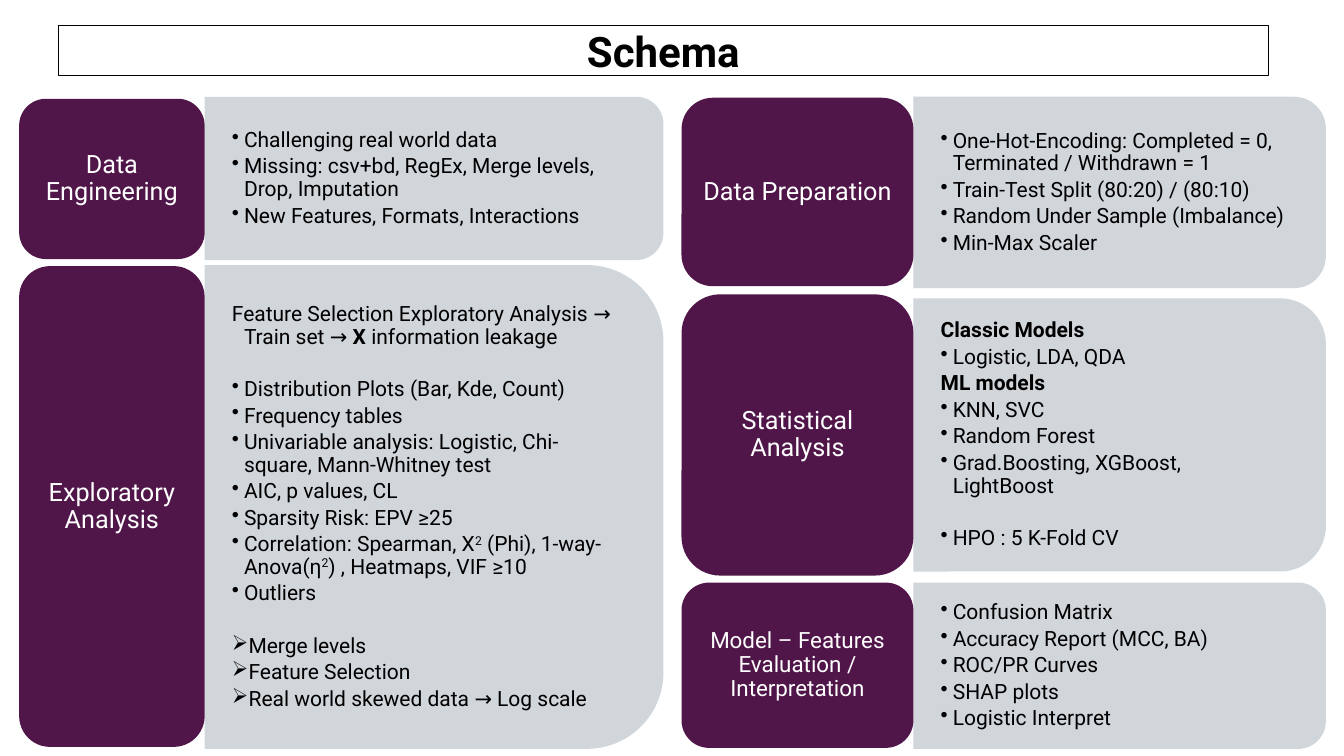
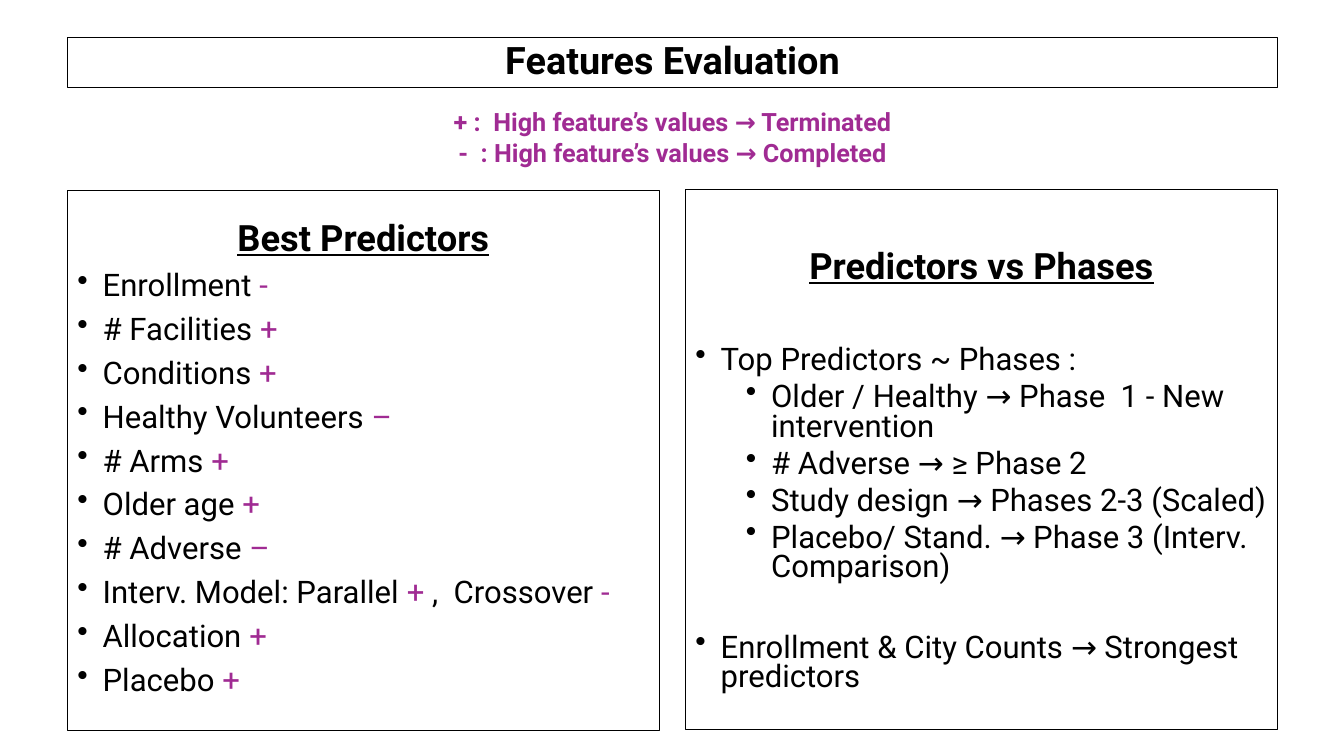
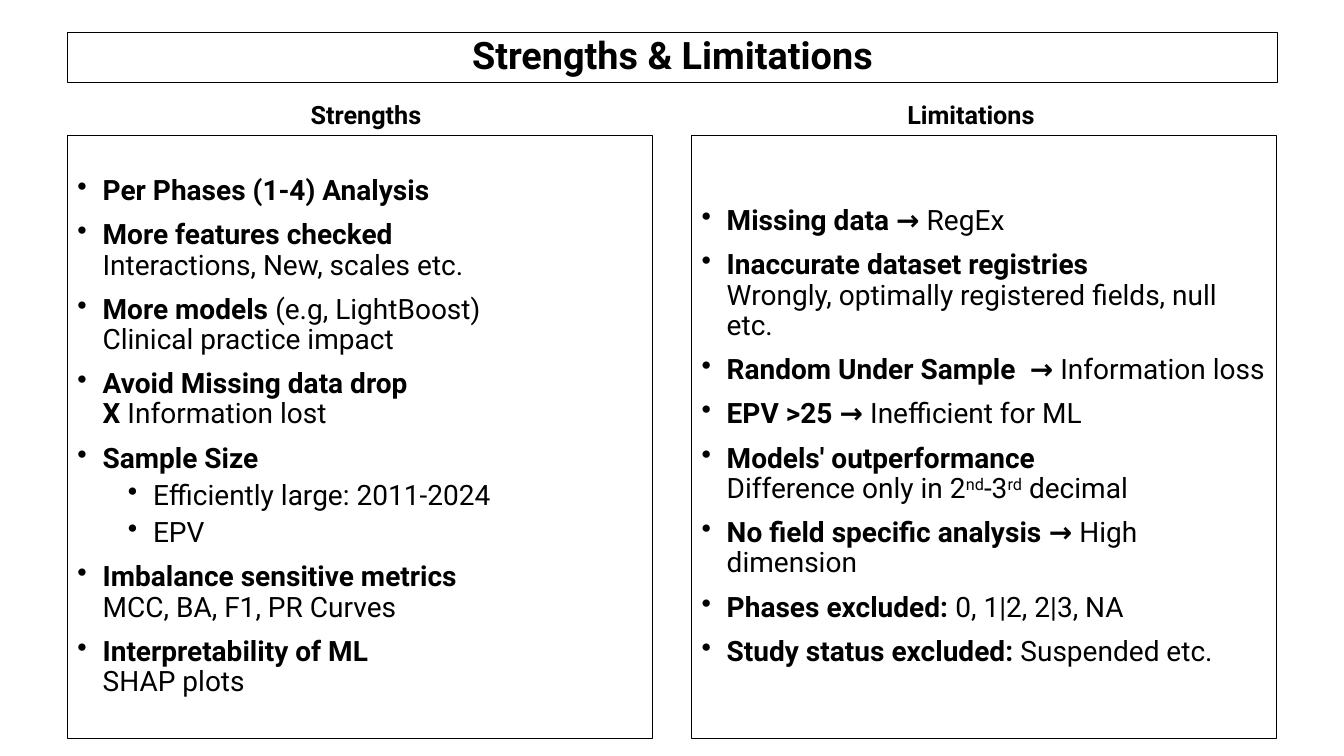
from dataclasses import dataclass
from lxml import etree
from pptx import Presentation
from pptx.dml.color import RGBColor
from pptx.enum.shapes import MSO_SHAPE as Preset
from pptx.enum.text import MSO_ANCHOR as Anchor, PP_ALIGN as Align
from pptx.oxml.ns import qn
from pptx.util import Inches, Pt


@dataclass(frozen=True)
class Theme:
    font: str = "Roboto"
    ink: str = "000000"
    white: str = "FFFFFF"
    plum: str = "501649"
    mist: str = "CCD2D8"
    accent: str = "A02B93"
    schema_title: float = 30
    title: float = 27
    heading: float = 25.9
    predictor: float = 22.2
    point: float = 20
    caption: float = 18
    label: float = 18
    small_label: float = 16
    detail: float = 15


THEME = Theme()

BOLD = {"bold": True}
ACCENT = {"color": THEME.accent}
RAISED = {"raised": True}

CENTERED = {"alignment": Align.CENTER}
KINDS = {
    "center": CENTERED,
    "heading": {**CENTERED, "size": THEME.heading, "bold": True, "underline": True},
    "plain": {"hang": 0.12, "left": 0.12, "after": 2.7},
    "dot": {"hang": 0.12, "left": 0.12, "after": 2.7, "bullet": "•"},
    "dot_apart": {"hang": 0.12, "left": 0.12, "before": 18.5, "after": 2.7, "bullet": "•"},
    "arrow": {"hang": 0.12, "left": 0.12, "after": 2.7, "bullet": "➢"},
    "arrow_apart": {"hang": 0.12, "left": 0.12, "before": 18.5, "after": 2.7, "bullet": "➢"},
    "point": {"hang": 0.25, "left": 0.25, "before": 10, "bullet": "•"},
    "point_after_heading": {"hang": 0.25, "left": 0.25, "before": 43, "bullet": "•"},
    "point_apart": {"hang": 0.25, "left": 0.25, "before": 36, "bullet": "•"},
    "sub": {"hang": 0.25, "left": 0.75, "before": 5, "bullet": "•"},
}

SCHEMA_COLUMNS = [
    {"left": 0.19, "label_width": 1.84, "detail_width": 4.55, "stages": [
        {"label": "Data Engineering", "label_span": (0.98, 1.59), "detail_span": (0.96, 1.62), "lines": [
            ("dot", "Challenging real world data"),
            ("dot", "Missing: csv+bd, RegEx, Merge levels, Drop, Imputation"),
            ("dot", "New Features, Formats, Interactions"),
        ]},
        {"label": "Exploratory Analysis", "label_span": (2.64, 4.77), "detail_span": (2.63, 4.8), "lines": [
            ("plain", "Feature Selection Exploratory Analysis → Train set → ", ("X", BOLD), " information leakage"),
            ("dot_apart", "Distribution Plots (Bar, Kde, Count)"),
            ("dot", "Frequency tables"),
            ("dot", "Univariable analysis: Logistic, Chi-square, Mann-Whitney test"),
            ("dot", "AIC, p values, CL"),
            ("dot", "Sparsity Risk: EPV ≥25"),
            ("dot", "Correlation: Spearman, X", ("2", RAISED), " (Phi), 1-way-Anova(η", ("2", RAISED),
             ") , Heatmaps, VIF ≥10"),
            ("dot", "Outliers"),
            ("arrow_apart", "Merge levels"),
            ("arrow", "Feature Selection"),
            ("arrow", "Real world skewed data → Log scale"),
        ]},
    ]},
    {"left": 6.76, "label_width": 2.3, "detail_width": 4.09, "stages": [
        {"label": "Data Preparation", "label_span": (0.97, 1.87), "detail_span": (0.96, 1.9), "lines": [
            ("dot", "One-Hot-Encoding: Completed = 0, Terminated / Withdrawn = 1"),
            ("dot", "Train-Test Split (80:20) / (80:10)"),
            ("dot", "Random Under Sample (Imbalance)"),
            ("dot", "Min-Max Scaler"),
        ]},
        {"label": "Statistical Analysis", "label_span": (2.92, 2.79), "detail_span": (2.96, 2.71), "lines": [
            ("plain", ("Classic Models", BOLD)),
            ("dot", "Logistic, LDA, QDA"),
            ("plain", ("ML models", BOLD)),
            ("dot", "KNN, SVC"),
            ("dot", "Random Forest"),
            ("dot", "Grad.Boosting, XGBoost, LightBoost"),
            ("dot_apart", "HPO : 5 K-Fold CV"),
        ]},
        {"label": "Model – Features Evaluation / Interpretation", "label_size": THEME.small_label,
         "label_span": (5.78, 1.64), "detail_span": (5.78, 1.65), "lines": [
            ("dot", "Confusion Matrix"),
            ("dot", "Accuracy Report (MCC, BA)"),
            ("dot", "ROC/PR Curves"),
            ("dot", "SHAP plots"),
            ("dot", "Logistic Interpret"),
        ]},
    ]},
]

LEGEND = [
    ("center", "+ :  High feature’s values → Terminated"),
    ("center", "-  : High feature’s values → Completed"),
]
BEST_PREDICTORS = [
    ("heading", "Best Predictors"),
    ("point", "Enrollment ", ("-", ACCENT)),
    ("point", "# Facilities", (" +", ACCENT)),
    ("point", "Conditions ", ("+", ACCENT)),
    ("point", "Healthy Volunteers", (" –", ACCENT)),
    ("point", "# Arms ", ("+", ACCENT)),
    ("point", "Older age ", ("+", ACCENT)),
    ("point", "# Adverse", (" –", ACCENT)),
    ("point", "Interv. Model: Parallel ", ("+ ", ACCENT), ",  Crossover ", ("-", ACCENT)),
    ("point", "Allocation", (" +", ACCENT)),
    ("point", "Placebo", (" +", ACCENT)),
]
PREDICTORS_BY_PHASE = [
    ("heading", "Predictors vs Phases"),
    ("point_after_heading", "Top Predictors ~ Phases :"),
    ("sub", "Older / Healthy → Phase  1 - New intervention"),
    ("sub", "# Adverse → ≥ Phase 2"),
    ("sub", "Study design → Phases 2-3 (Scaled)"),
    ("sub", "Placebo/ Stand. → Phase 3 (Interv. Comparison)"),
    ("point_apart", "Enrollment & City Counts → Strongest predictors"),
]

STRENGTHS = [
    ("point", ("Per Phases (1-4) Analysis", BOLD)),
    ("point", ("More features checked", BOLD), "\nInteractions, New, scales etc."),
    ("point", ("More models ", BOLD), "(e.g, LightBoost)\nClinical practice impact"),
    ("point", ("Avoid Missing data drop\nX ", BOLD), "Information lost"),
    ("point", ("Sample Size", BOLD)),
    ("sub", "Efficiently large: 2011-2024"),
    ("sub", "EPV"),
    ("point", ("Imbalance sensitive metrics", BOLD), "\nMCC, BA, F1, PR Curves"),
    ("point", ("Interpretability of ML", BOLD), "\nSHAP plots"),
]
LIMITATIONS = [
    ("point", ("Missing data → ", BOLD), "RegEx"),
    ("point", ("Inaccurate dataset registries", BOLD),
     "\nWrongly, optimally registered fields, null etc."),
    ("point", ("Random Under Sample  → ", BOLD), "Information loss"),
    ("point", ("EPV >25 → ", BOLD), "Inefficient for ML"),
    ("point", ("Models' outperformance", BOLD), "\nDifference only in 2", ("nd", RAISED), "-3",
     ("rd", RAISED), " decimal"),
    ("point", ("No field specific analysis → ", BOLD), "High dimension"),
    ("point", ("Phases excluded: ", BOLD), "0, 1|2, 2|3, NA"),
    ("point", ("Study status excluded: ", BOLD), "Suspended etc."),
]


def add_span(para, text, look):
    for index, piece in enumerate(text.split("\n")):
        if index:
            para.add_line_break()
        if not piece:
            continue
        span = para.add_run()
        span.text = piece
        values = {"name": THEME.font, "size": Pt(look["size"]),
                  "bold": look.get("bold", False), "underline": look.get("underline", False)}
        for name, value in values.items():
            setattr(span.font, name, value)
        span.font.color.rgb = RGBColor.from_string(look["color"])
        if look.get("raised"):
            span.font._element.set("baseline", "30000")


def write(shape, lines, size, color=THEME.ink, bold=False, spacing=0.9,
          anchor=Anchor.MIDDLE, insets=(0.1, 0.05, 0.1, 0.05)):
    frame = shape.text_frame
    sides = ("margin_left", "margin_top", "margin_right", "margin_bottom")
    settings = {"word_wrap": True, "vertical_anchor": anchor, **dict(zip(sides, map(Inches, insets)))}
    for name, value in settings.items():
        setattr(frame, name, value)
    for index, (kind, *spans) in enumerate(lines):
        para = frame.paragraphs[0] if index == 0 else frame.add_paragraph()
        style = KINDS[kind]
        values = {"alignment": style.get("alignment", Align.LEFT), "line_spacing": spacing,
                  "space_before": Pt(style.get("before", 0) if index else 0),
                  "space_after": Pt(style.get("after", 0))}
        for name, value in values.items():
            setattr(para, name, value)
        properties = para._p.get_or_add_pPr()
        if "left" in style:
            properties.set("marL", str(Inches(style["left"])))
            properties.set("indent", str(-Inches(style["hang"])))
        if "bullet" in style:
            etree.SubElement(properties, qn("a:buChar")).set("char", style["bullet"])
        base = {"size": size, "color": color, "bold": bold, **style}
        for span in spans:
            text, change = (span, {}) if isinstance(span, str) else span
            add_span(para, text, {**base, **change})


def add_block(page, preset, place, fill=None, outline=None):
    shape = page.shapes.add_shape(preset, *map(Inches, place))
    shape.shadow.inherit = False
    if fill:
        shape.fill.solid()
        shape.fill.fore_color.rgb = RGBColor.from_string(fill)
    else:
        shape.fill.background()
    if outline:
        shape.line.color.rgb = RGBColor.from_string(outline)
        shape.line.width = Pt(0.75)
    else:
        shape.line.fill.background()
    return shape


def add_panel(page, place, lines, size, **options):
    write(add_block(page, Preset.RECTANGLE, place, outline=THEME.ink), lines, size, **options)


def add_text(page, place, lines, size, **options):
    write(page.shapes.add_textbox(*map(Inches, place)), lines, size, **options)


def add_page(deck, title, left, top, size=THEME.title, spacing=0.9):
    page = deck.slides.add_slide(deck.slide_layouts[6])
    add_panel(page, (left, top, 12, 0.5), [("center", title)], size, bold=True, spacing=spacing)
    return page


def add_stage(page, column, stage):
    left, width = column["left"] + column["label_width"], column["detail_width"]
    top, height = stage["detail_span"]
    turned = (left + (width - height) / 2, top + (height - width) / 2, height, width)
    detail = add_block(page, Preset.ROUND_2_SAME_RECTANGLE, turned, fill=THEME.mist)
    detail.rotation = 90
    color = detail.fill._xPr.find(qn("a:solidFill"))[0]
    etree.SubElement(color, qn("a:alpha")).set("val", "90000")
    corner = 0.05 * min(width, height)
    add_text(page, (left, top, width - corner, height), stage["lines"], THEME.detail,
             insets=(0.27, 0.14, 0.27, 0.14))
    label_top, label_height = stage["label_span"]
    label = add_block(page, Preset.ROUNDED_RECTANGLE,
                      (column["left"], label_top, column["label_width"], label_height), fill=THEME.plum)
    write(label, [("center", stage["label"])], stage.get("label_size", THEME.label),
          color=THEME.white, insets=(0.07, 0.04, 0.07, 0.04))


def build_schema(deck):
    page = add_page(deck, "Schema", 0.58, 0.25, THEME.schema_title, spacing=1.0)
    for column in SCHEMA_COLUMNS:
        for stage in column["stages"]:
            add_stage(page, column, stage)


def build_features(deck):
    page = add_page(deck, "Features Evaluation", 0.67, 0.37)
    add_panel(page, (0.67, 1.89, 5.87, 5.36), BEST_PREDICTORS, THEME.predictor, spacing=0.8)
    add_panel(page, (6.8, 1.88, 5.87, 5.36), PREDICTORS_BY_PHASE, THEME.predictor, spacing=0.8,
              anchor=Anchor.TOP, insets=(0.1, 0.62, 0.1, 0.05))
    add_text(page, (0.67, 1.01, 12, 0.71), LEGEND, THEME.caption, color=THEME.accent,
             bold=True, spacing=1.0, anchor=Anchor.TOP)


def build_balance(deck):
    page = add_page(deck, "Strengths & Limitations", 0.67, 0.32)
    sides = [("Strengths", 0.67, 0.67, STRENGTHS), ("Limitations", 6.67, 6.86, LIMITATIONS)]
    for caption, caption_left, panel_left, lines in sides:
        add_panel(page, (panel_left, 1.34, 5.8, 5.99), lines, THEME.point)
        add_text(page, (caption_left, 0.94, 5.92, 0.4), [("center", caption)], THEME.caption,
                 bold=True, spacing=1.0, anchor=Anchor.TOP)


def main():
    deck = Presentation()
    deck.slide_width, deck.slide_height = Inches(13.33), Inches(7.5)
    for build in (build_schema, build_features, build_balance):
        build(deck)
    deck.save("out.pptx")


if __name__ == "__main__":
    main()
